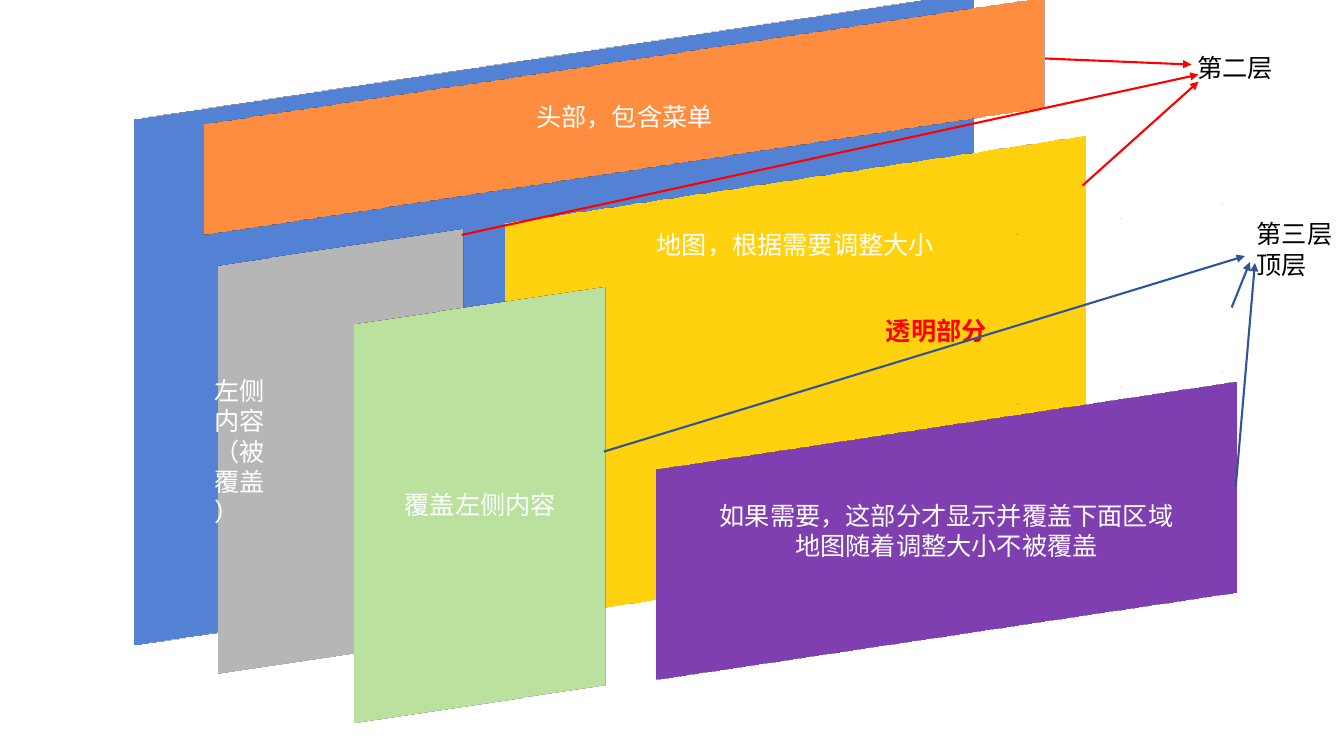
from dataclasses import dataclass

from lxml.etree import SubElement
from pptx import Presentation
from pptx.dml.color import RGBColor
from pptx.enum.shapes import MSO_CONNECTOR, MSO_SHAPE
from pptx.enum.text import MSO_ANCHOR, MSO_AUTO_SIZE, PP_ALIGN
from pptx.oxml.ns import qn
from pptx.util import Pt

FONT = "Noto Sans CJK SC"
WHITE, BLACK, RED, NAVY = "FFFFFF", "000000", "FF0000", "2F5597"


@dataclass(frozen=True)
class Panel:
    box: tuple[float, float, float, float]
    fill: str | None
    lines: tuple[str, ...] = ()
    align: PP_ALIGN = PP_ALIGN.CENTER
    color: str = WHITE
    bold: bool = False
    border: str = "325491"
    border_width: float = 1
    text_top: float | None = None  # distance from the top; centred if None


@dataclass(frozen=True)
class Layer:
    lines: tuple[str, ...]
    box: tuple[float, float, float, float]
    color: str
    arrows: tuple[tuple[float, float, float, float], ...]


PANELS = (
    Panel((62, 31, 667.5, 394), "4472C4"),
    Panel((112.3, 41.8, 667.5, 82.8), "ED7D31", ("头部，包含菜单",)),
    Panel((146.2, 169.2, 194.4, 306), "A5A5A5",
          ("左侧", "内容", "（被", "覆盖", "）"), align=PP_ALIGN.LEFT),
    Panel((337.7, 121, 460.8, 298.8), "FFC000",
          ("地图，根据需要调整大小",), text_top=43),
    Panel((243.4, 211, 199.4, 298.8), "A9D18E", ("覆盖左侧内容",)),
    Panel((445.7, 300.2, 460.8, 157.7), "7030A0",
          ("如果需要，这部分才显示并覆盖下面区域", "地图随着调整大小不被覆盖")),
    Panel((438.5, 172.8, 460.8, 126.7), None, ("透明部分",),
          color=RED, bold=True, border="8FAADC", border_width=6),
)

LAYERS = (
    Layer(("第二层",), (848.2, 33.8, 69.1, 28.8), RED, (
        (746.6, 41.8, 851, 46.1),
        (773.3, 132.5, 856.1, 58.3),
        (329.8, 167.8, 856.1, 53.3),
    )),
    Layer(("第三层", "顶层"), (890.6, 152.6, 69.1, 51.1), NAVY, (
        (431.3, 322.6, 889.2, 182.9),
        (879.8, 219.6, 892.8, 187.2),
        (882.7, 347.8, 896.4, 187.9),
    )),
)


def rgb(value: str) -> RGBColor:
    return RGBColor.from_string(value)


def write_lines(tf, lines: tuple[str, ...], color: str,
                align: PP_ALIGN = PP_ALIGN.LEFT, bold: bool = False) -> None:
    for i, line in enumerate(lines):
        p = tf.add_paragraph() if i else tf.paragraphs[0]
        p.text = line
        p.alignment = align
        p.line_spacing = Pt(21.6)
        p.font.size = Pt(18)
        p.font.bold = bold
        p.font.color.rgb = rgb(color)
        p.font.name = FONT
        latin = next(p._p.iter(qn("a:latin")))
        SubElement(latin.getparent(), qn("a:ea"), typeface=FONT)


def tilt(sp) -> None:
    """Turn the shape in space so that its right side recedes upwards."""
    scene = SubElement(sp._element.spPr, qn("a:scene3d"))
    SubElement(scene, qn("a:camera"), prst="isometricOffAxis1Right")
    SubElement(scene, qn("a:lightRig"), rig="threePt", dir="t")


def add_panel(slide, panel: Panel) -> None:
    sp = slide.shapes.add_shape(MSO_SHAPE.RECTANGLE, *map(Pt, panel.box))
    sp.shadow.inherit = False
    if panel.fill:
        sp.fill.solid()
        sp.fill.fore_color.rgb = rgb(panel.fill)
    else:
        sp.fill.background()
    sp.line.color.rgb = rgb(panel.border)
    sp.line.width = Pt(panel.border_width)
    tilt(sp)
    tf = sp.text_frame
    tf.word_wrap = True
    tf.vertical_anchor = MSO_ANCHOR.MIDDLE
    if panel.text_top is not None:
        tf.vertical_anchor = MSO_ANCHOR.TOP
        tf.margin_top = Pt(panel.text_top)
    write_lines(tf, panel.lines, panel.color, panel.align, panel.bold)


def add_arrow(slide, ends: tuple[float, float, float, float], color: str) -> None:
    cxn = slide.shapes.add_connector(MSO_CONNECTOR.STRAIGHT, *map(Pt, ends))
    cxn.line.color.rgb = rgb(color)
    cxn.line.width = Pt(1.5)
    SubElement(cxn.line._get_or_add_ln(), qn("a:tailEnd"), type="triangle")
    SubElement(cxn._element.spPr, qn("a:effectLst"))


def add_layer(slide, layer: Layer) -> None:
    """Draw the arrows of a layer and the label they point to."""
    for ends in layer.arrows:
        add_arrow(slide, ends, layer.color)
    tf = slide.shapes.add_textbox(*map(Pt, layer.box)).text_frame
    tf.word_wrap = False
    tf.auto_size = MSO_AUTO_SIZE.SHAPE_TO_FIT_TEXT
    write_lines(tf, layer.lines, BLACK)


def main() -> None:
    prs = Presentation()
    prs.slide_width, prs.slide_height = Pt(960), Pt(540)
    slide = prs.slides.add_slide(prs.slide_layouts[6])
    for panel in PANELS:
        add_panel(slide, panel)
    for layer in LAYERS:
        add_layer(slide, layer)
    prs.save("out.pptx")


if __name__ == "__main__":
    main()
